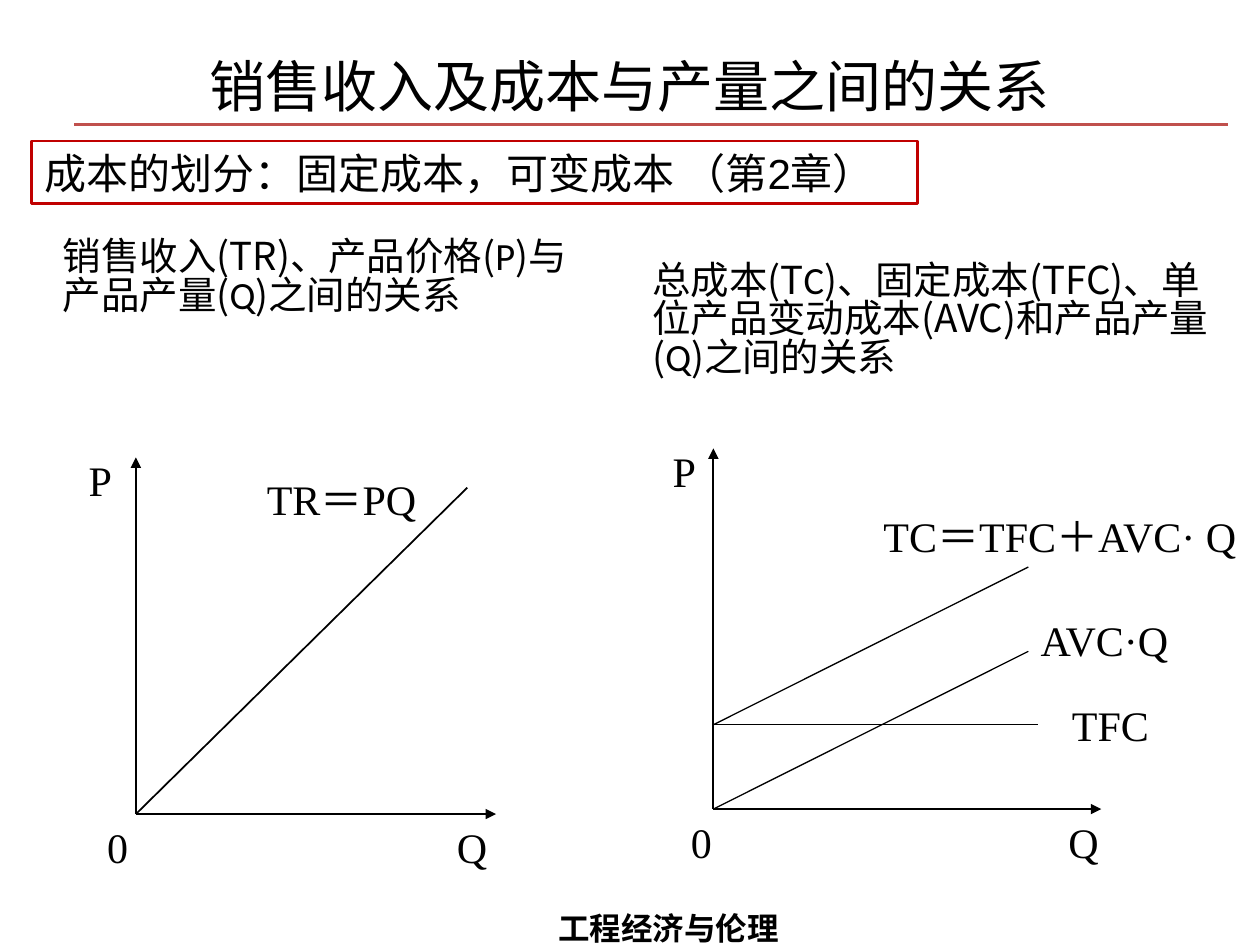
import pptx
import pptx.util
import pptx.dml.color
import pptx.enum.shapes
import pptx.enum.text
from pptx.util import Cm

SERIF = "Times New Roman"
SANS = "Noto Sans CJK SC"
ALIGN = pptx.enum.text.PP_ALIGN


def rgb(value):
    return pptx.dml.color.RGBColor.from_string(value)


def add_text(s, x, y, w, h, runs, size, name, align=ALIGN.LEFT, inset=0.25, wrap=True):
    sp = s.shapes.add_textbox(Cm(x), Cm(y), Cm(w), Cm(h))
    tf = sp.text_frame
    tf.word_wrap = wrap
    tf.margin_left = tf.margin_right = Cm(inset)
    p = tf.paragraphs[0]
    p.alignment = align
    p.font.size = pptx.util.Pt(size)
    p.font.color.rgb = rgb("000000")
    if isinstance(runs, str):
        p.font.name = name
        p.add_run().text = runs
    else:
        for text, font in runs:
            r = p.add_run()
            r.text = text
            r.font.name = font
    return sp


def add_line(s, x1, y1, x2, y2, width, color="000000", arrow=False):
    sp = s.shapes.add_connector(
        pptx.enum.shapes.MSO_CONNECTOR.STRAIGHT, Cm(x1), Cm(y1), Cm(x2), Cm(y2))
    sp.line.color.rgb = rgb(color)
    sp.line.width = pptx.util.Pt(width)
    if arrow:
        ln = sp.line._get_or_add_ln()
        ln.append(pptx.oxml.parse_xml(
            '<a:tailEnd xmlns:a="http://schemas.openxmlformats.org/drawingml/2006/main" type="triangle"/>'))
    sp._element.spPr.append(pptx.oxml.parse_xml(
        '<a:effectLst xmlns:a="http://schemas.openxmlformats.org/drawingml/2006/main"/>'))


def add_header(s, x, y, w, h):
    sp = add_text(s, x, y, w, h, "销售收入及成本与产量之间的关系", 32, "Calibri", ALIGN.CENTER)
    sp.text_frame.vertical_anchor = pptx.enum.text.MSO_ANCHOR.MIDDLE
    add_line(s, x + 0.23, y + 1.75, x + w + 0.63, y + 1.75, 2, "C0504D")


def add_topic(s, x, y, w, h):
    sp = add_text(s, x, y, w, h, "成本的划分：固定成本，可变成本 （第2章）", 24, "Arial")
    sp.line.color.rgb = rgb("C00000")
    sp.line.width = pptx.util.Pt(1.5)


def add_description(s, x, y, w, h, runs):
    sp = add_text(s, x, y, w, h, runs, 22, SANS, inset=0.15)
    sp.text_frame.paragraphs[0].line_spacing = 0.84


def add_graph(s, x, y, w, h, gap, line_width, curves, labels):
    base = y + h
    add_line(s, x, base, x, y, 1, arrow=True)
    add_line(s, x, base, x + w, base, 1, arrow=True)
    for x1, up1, x2, up2 in curves:
        add_line(s, x + x1, base - up1, x + x2, base - up2, line_width)
    add_text(s, x - gap - 1.37, y - 0.19, 1.37, 1.27, "P", 24, SERIF, ALIGN.RIGHT)
    add_text(s, x - gap - 0.6, base + 0.03, 1.1, 1.27, "0", 24, SERIF)
    add_text(s, x + w - gap - 0.81, base + 0.03, 1.2, 1.27, "Q", 24, SERIF)
    for text, dx, up, width in labels:
        add_text(s, x + dx, base - up, width, 1.27, text, 24, SERIF)


def add_footer(s, x, y, w, h):
    sp = add_text(s, x, y, w, h, "工程经济与伦理", 18, SERIF, wrap=False)
    p = sp.text_frame.paragraphs[0]
    p.line_spacing = 1.5
    p.font.bold = True


def main():
    prs = pptx.Presentation()
    prs.slide_width, prs.slide_height = Cm(25.4), Cm(19.05)
    s = prs.slides.add_slide(prs.slide_layouts[6])

    add_header(s, 1.27, 0.76, 22.86, 1.9)
    add_topic(s, 0.64, 2.84, 17.86, 1.27)
    add_description(s, 1.12, 4.7, 10.72, 2.5, [
        ("销售收入(TR)、产品价格(", SANS), ("P", "Calibri"), (")与产品产量(", SANS),
        ("Q", "Calibri"), (")之间的关系", SANS)])
    add_description(s, 13, 5.18, 12, 3.5, [
        ("总成本(T", SANS), ("C", "Calibri"),
        (")、固定成本(TFC)、单位产品变动成本(AVC)和产品产量(", SANS),
        ("Q", "Calibri"), (")之间的关系", SANS)])
    add_graph(s, 2.74, 9.22, 7.26, 7.19, 0.23, 1,
              [(0, 0, 6.68, 6.58)], [("TR＝PQ", 2.39, 6.99, 4.06)])
    add_graph(s, 14.38, 9.04, 7.82, 7.27, 0.1, 0.75,
              [(0, 1.7, 6.55, 1.7), (0, 0, 6.35, 3.18), (0, 1.7, 6.35, 4.88)],
              [("TC＝TFC＋AVC· Q", 3.18, 6.15, 7.85),
               ("AVC·Q", 6.35, 4.04, 3.76),
               ("TFC", 6.98, 2.34, 2.74)])
    add_footer(s, 11, 17.81, 4.95, 1.4)
    prs.save("out.pptx")


if __name__ == "__main__":
    main()
